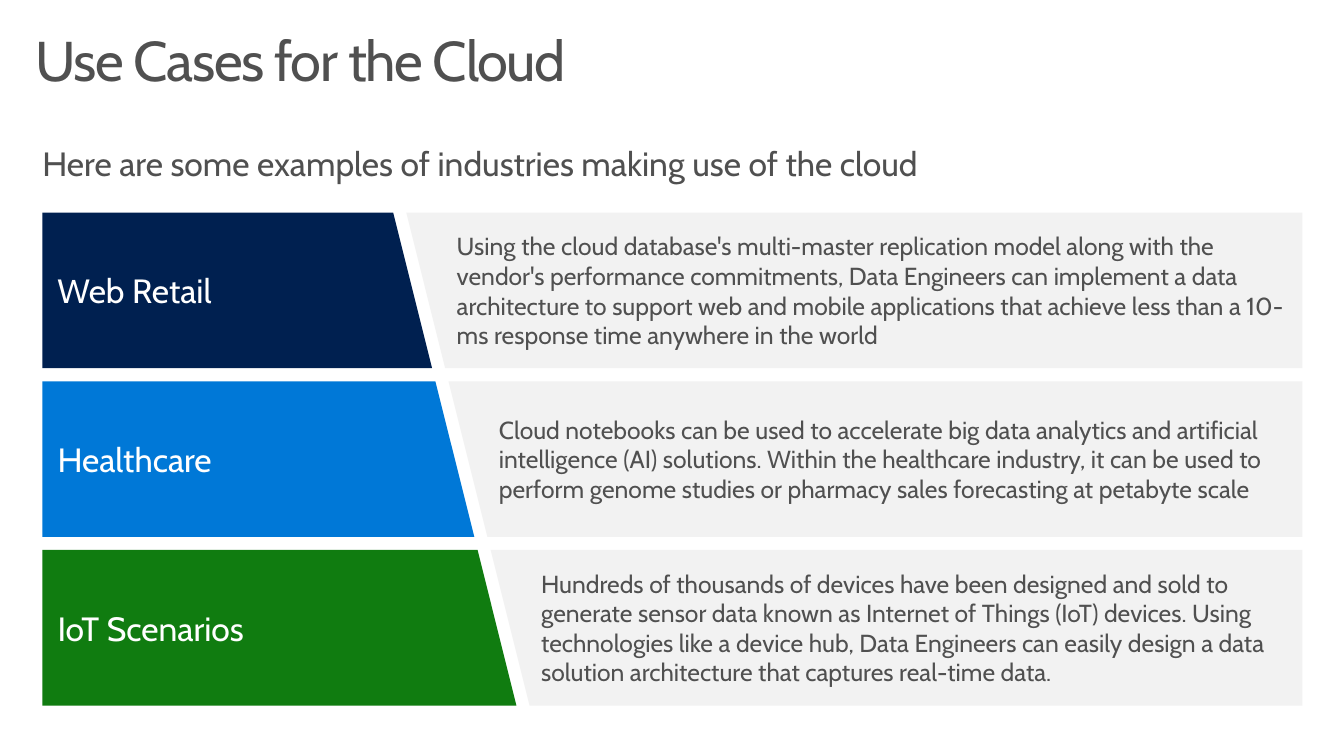
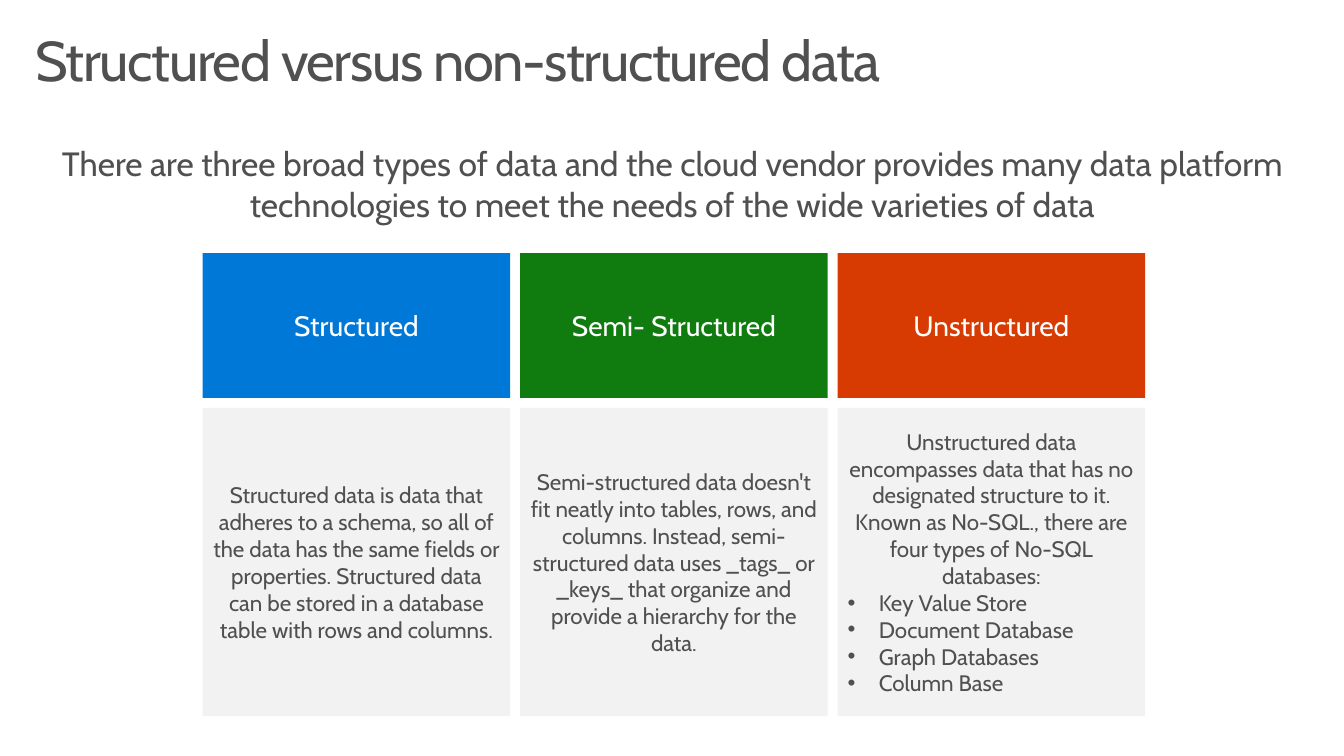
from lxml.etree import SubElement
from pptx import Presentation
from pptx.dml.color import RGBColor
from pptx.enum.shapes import MSO_SHAPE
from pptx.enum.text import MSO_ANCHOR, PP_ALIGN
from pptx.oxml.ns import qn
from pptx.util import Cm, Pt

# Content
CASES_TITLE = "Use Cases for the Cloud"
CASES_LEAD = "Here are some examples of industries making use of the cloud"
CASES = [
    ("Web Retail", "002050",
     "Using the cloud database's multi-master replication model along with "
     "the vendor's performance commitments, Data Engineers can implement a "
     "data architecture to support web and mobile applications that achieve "
     "less than a 10-ms response time anywhere in the world"),
    ("Healthcare", "0078D7",
     "Cloud notebooks can be used to accelerate big data analytics and "
     "artificial intelligence (AI) solutions. Within the healthcare industry, "
     "it can be used to perform genome studies or pharmacy sales forecasting "
     "at petabyte scale"),
    ("IoT Scenarios", "107C10",
     "Hundreds of thousands of devices have been designed and sold to "
     "generate sensor data known as Internet of Things (IoT) devices. Using "
     "technologies like a device hub, Data Engineers can easily design a "
     "data solution architecture that captures real-time data."),
]
TYPES_TITLE = "Structured versus non-structured data"
TYPES_LEAD = (
    "There are three broad types of data and the cloud vendor provides many "
    "data platform technologies to meet the needs of the wide varieties of data")
TYPES = [
    ("Structured", "0078D7",
     "Structured data is data that adheres to a schema, so all of the data "
     "has the same fields or properties. Structured data can be stored in a "
     "database table with rows and columns.", []),
    ("Semi- Structured", "107C10",
     "Semi-structured data doesn't fit neatly into tables, rows, and columns. "
     "Instead, semi-structured data uses _tags_ or _keys_ that organize and "
     "provide a hierarchy for the data.", []),
    ("Unstructured", "D83B01",
     "Unstructured data encompasses data that has no designated structure to "
     "it. Known as No-SQL., there are four types of No-SQL databases:",
     ["Key Value Store", "Document Database", "Graph Databases",
      "Column Base"]),
]

# Shared style
FONT, GREY, WHITE, PANEL = "Cabin", "505050", "FFFFFF", "F2F2F2"
LEFT, RIGHT = 1.07, 32.82


def color(code):
    return RGBColor.from_string(code)


def write(para, text, size, code=GREY, align=PP_ALIGN.LEFT):
    para.alignment = align
    run = para.add_run()
    run.text = text
    run.font.name = FONT
    run.font.size = Pt(size)
    run.font.color.rgb = color(code)
    return run


def bullet(para):
    props = para._p.get_or_add_pPr()
    props.set("marL", str(Cm(0.79)))
    props.set("indent", str(-Cm(0.79)))
    SubElement(props, qn("a:buFont")).set("typeface", "Arial")
    SubElement(props, qn("a:buChar")).set("char", "•")


def frame(shape, pads, anchor=MSO_ANCHOR.MIDDLE):
    text = shape.text_frame
    text.word_wrap = True
    text.vertical_anchor = anchor
    (text.margin_left, text.margin_top,
     text.margin_right, text.margin_bottom) = [Cm(pad) for pad in pads]
    return text


def paint(shape, fill):
    shape.shadow.inherit = False
    shape.fill.solid()
    shape.fill.fore_color.rgb = color(fill)
    shape.line.fill.background()
    return shape


def label(slide, place, pads):
    box = slide.shapes.add_textbox(*[Cm(part) for part in place])
    return frame(box, pads, MSO_ANCHOR.TOP).paragraphs[0]


def start(deck, title, lead, align, height):
    slide = deck.slides.add_slide(deck.slide_layouts[6])
    para = label(slide, (0.64, 0.64, 32.49, 2.54), (0.25, 0, 0, 0))
    run = write(para, title, 40)
    run.font._element.set("spc", "-100")
    para = label(slide, (LEFT, 3.61, RIGHT - LEFT, height), (0, 0, 0, 0))
    write(para, lead, 24, align=align)
    return slide


def band(slide, points, fill, pad):
    corners = [(Cm(x), Cm(y)) for x, y in points]
    path = slide.shapes.build_freeform(*corners[0])
    path.add_line_segments(corners[1:], close=True)
    shape = paint(path.convert_to_shape(), fill)
    return frame(shape, (pad, 0.25, 0.38, 0.25)).paragraphs[0]


def block(slide, place, fill):
    shape = slide.shapes.add_shape(
        MSO_SHAPE.RECTANGLE, *[Cm(part) for part in place])
    return frame(paint(shape, fill), (0.25, 0.13, 0.25, 0.13))


def cases(deck):
    slide = start(deck, CASES_TITLE, CASES_LEAD, PP_ALIGN.LEFT, 1.02)
    first, high, pitch, gap = 5.36, 3.92, 4.25, 0.33

    # All rows are cut by one slanted line
    def edge(y):
        return 9.91 + 0.25 * (y - first)

    for row, (name, fill, note) in enumerate(CASES):
        top = first + row * pitch
        low = top + high
        head = [(LEFT, top), (edge(top), top), (edge(low), low), (LEFT, low)]
        body = [(edge(top) + gap, top), (RIGHT, top),
                (RIGHT, low), (edge(low) + gap, low)]
        write(band(slide, head, fill, 0.38), name, 24, WHITE)
        write(band(slide, body, PANEL, 1.27), note, 17.6)


def types(deck):
    slide = start(deck, TYPES_TITLE, TYPES_LEAD, PP_ALIGN.CENTER, 2.1)
    first, wide, gap = 5.11, 7.75, 0.25
    top, high, deep = 6.38, 3.65, 7.77
    for col, (name, fill, note, items) in enumerate(TYPES):
        left = first + col * (wide + gap)
        head = block(slide, (left, top, wide, high), fill)
        write(head.paragraphs[0], name, 20, WHITE, PP_ALIGN.CENTER)
        body = block(slide, (left, top + high + gap, wide, deep), PANEL)
        write(body.paragraphs[0], note, 16, align=PP_ALIGN.CENTER)
        for item in items:
            para = body.add_paragraph()
            bullet(para)
            write(para, item, 16)


def main():
    deck = Presentation()
    deck.slide_width, deck.slide_height = Cm(33.87), Cm(19.05)
    cases(deck)
    types(deck)
    deck.save("out.pptx")


if __name__ == "__main__":
    main()
